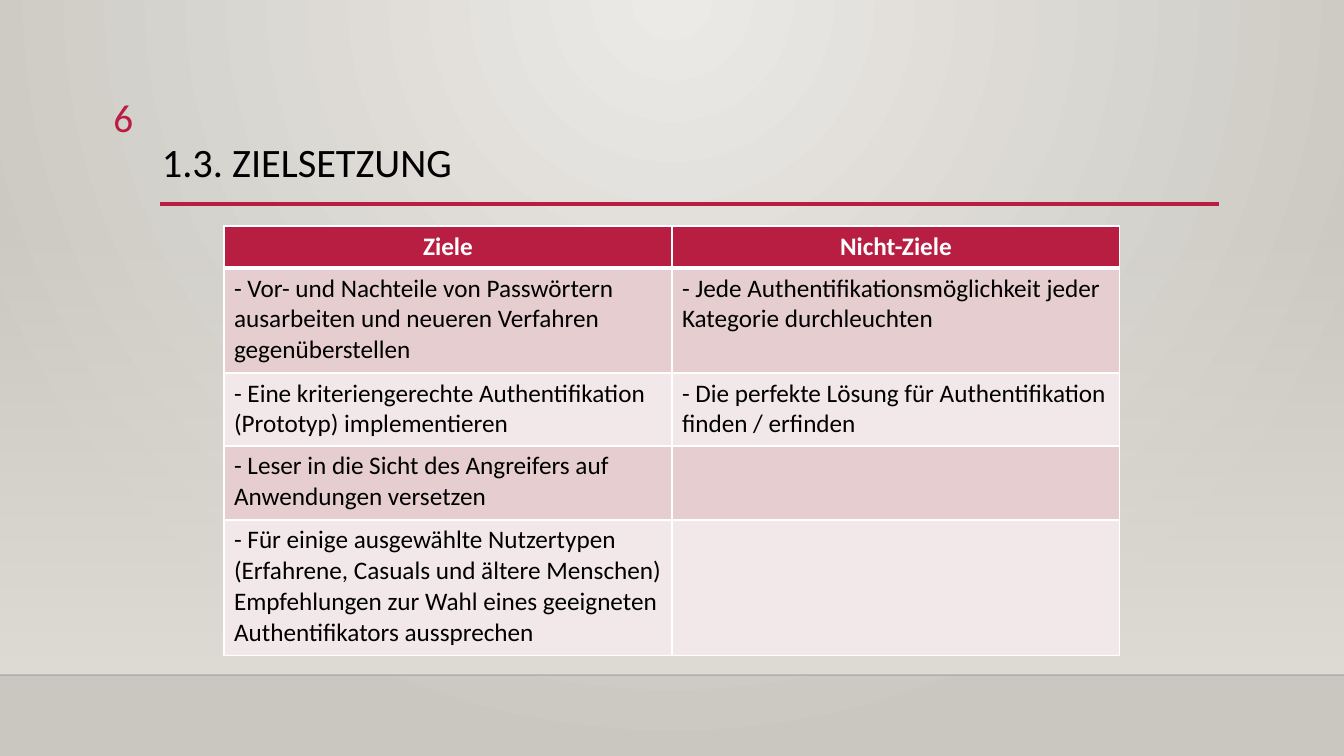
from lxml import etree
from pptx import Presentation, util as u
from pptx.dml.color import RGBColor
from pptx.enum import shapes, text
from pptx.oxml import parse_xml
from pptx.oxml.ns import nsdecls, qn

SLIDE_W, SLIDE_H = 1344, 756
FONT = "Calibri"
CRIMSON = RGBColor(0xB7, 0x1E, 0x42)
BLACK = RGBColor(0, 0, 0)
EDGE = RGBColor(0, 0, 1)
WHITE = RGBColor(0xFF, 0xFF, 0xFF)
BANDS = RGBColor(0xE6, 0xCD, 0xCF), RGBColor(0xF3, 0xE8, 0xE9)
SKY = RGBColor(0xEC, 0xEA, 0xE7), RGBColor(0xCA, 0xC7, 0xC1)
WALL = RGBColor(0xDF, 0xDB, 0xD5)

HEADINGS = "Ziele", "Nicht-Ziele"
GOALS = [
    ("- Vor- und Nachteile von Passwörtern ausarbeiten und neueren Verfahren gegenüberstellen",
     "- Jede Authentifikationsmöglichkeit jeder Kategorie durchleuchten"),
    ("- Eine kriteriengerechte Authentifikation (Prototyp) implementieren",
     "- Die perfekte Lösung für Authentifikation finden / erfinden"),
    ("- Leser in die Sicht des Angreifers auf Anwendungen versetzen", ""),
    ("- Für einige ausgewählte Nutzertypen (Erfahrene, Casuals und ältere Menschen) "
     "Empfehlungen zur Wahl eines geeigneten Authentifikators aussprechen", ""),
]
ROW_HEIGHTS = 42, 105, 73, 74, 136


def px(length):
    return u.Emu(length * 12192000 // SLIDE_W)


def set_gradient(fill, parent, stops, direction):
    """Give parent a gradient of (colour, opacity percent) stops, evenly spread."""
    fill.gradient()
    step = 100000 // (len(stops) - 1)
    marks = "".join(
        f'<a:gs pos="{i * step}"><a:srgbClr val="{color}">'
        f'<a:alpha val="{opacity * 1000}"/></a:srgbClr></a:gs>'
        for i, (color, opacity) in enumerate(stops))
    gradient = parse_xml(f'<a:gradFill {nsdecls("a")} rotWithShape="1">'
                         f'<a:gsLst>{marks}</a:gsLst>{direction}</a:gradFill>')
    preset = parent.find(qn("a:gradFill"))
    parent.replace(preset, gradient)


def add_rule(slide, left, top, width, color, points, opacity=100):
    rule = slide.shapes.add_connector(shapes.MSO_CONNECTOR.STRAIGHT,
                                      px(left), px(top), px(left + width), px(top))
    rule.line.color.rgb = color
    rule.line.width = u.Pt(points)
    properties = rule._element.spPr
    etree.SubElement(properties, qn("a:effectLst"))
    if opacity < 100:
        tint = properties.find(".//" + qn("a:srgbClr"))
        etree.SubElement(tint, qn("a:alpha"), val=str(opacity * 1000))


def add_run(paragraph, words, size, color, bold=False):
    run = paragraph.add_run()
    run.text = words
    run.font.name = FONT
    run.font.size = u.Pt(size)
    run.font.color.rgb = color
    run.font.bold = bold


def add_label(slide, box, words, size, color, align, anchor, spacing=1.0):
    frame = slide.shapes.add_textbox(*map(px, box)).text_frame
    frame.word_wrap = True
    frame.vertical_anchor = anchor
    paragraph = frame.paragraphs[0]
    paragraph.alignment = align
    paragraph.line_spacing = spacing
    add_run(paragraph, words, size, color)


def add_backdrop(slide, left, top, width, height):
    background = slide.background.fill
    set_gradient(background, slide._element.cSld.bg.bgPr, [(color, 100) for color in SKY],
                 '<a:path path="circle">'
                 '<a:fillToRect l="43000" t="0" r="43000" b="100000"/></a:path>')
    wall = slide.shapes.add_shape(shapes.MSO_SHAPE.RECTANGLE,
                                  px(left), px(top), px(width), px(height))
    wall.shadow.inherit = False
    wall.line.fill.background()
    set_gradient(wall.fill, wall._element.spPr, [(WALL, 0), (WALL, 100)],
                 '<a:lin ang="5400000" scaled="0"/>')
    add_rule(slide, left, top + height, width, EDGE, 1, opacity=20)


def add_header(slide, left, top, width):
    add_rule(slide, left, top + 116, width, CRIMSON, 2.5)
    add_label(slide, (left - 8, top + 49, width, 55), "1.3. ZIELSETZUNG", 28.8, BLACK,
              text.PP_ALIGN.LEFT, text.MSO_ANCHOR.MIDDLE, spacing=0.9)
    add_label(slide, (left - 107, top, 90, 55), "6", 28, CRIMSON,
              text.PP_ALIGN.RIGHT, text.MSO_ANCHOR.TOP)


def set_borders(cell, widths):
    properties = cell._tc.get_or_add_tcPr()
    for place, (side, points) in enumerate(widths.items()):
        properties.insert(place, parse_xml(
            f'<a:{side} {nsdecls("a")} w="{u.Pt(points)}"><a:solidFill>'
            f'<a:srgbClr val="{WHITE}"/></a:solidFill></a:{side}>'))


def add_goal_table(slide, left, top, width):
    rows = [HEADINGS, *GOALS]
    table = slide.shapes.add_table(len(rows), len(HEADINGS), px(left), px(top),
                                   px(width), px(sum(ROW_HEIGHTS))).table
    for column in table.columns:
        column.width = px(width // len(HEADINGS))
    for r, (height, entries) in enumerate(zip(ROW_HEIGHTS, rows)):
        table.rows[r].height = px(height)
        heading = r == 0
        for c, words in enumerate(entries):
            cell = table.cell(r, c)
            cell.fill.solid()
            cell.fill.fore_color.rgb = CRIMSON if heading else BANDS[(r - 1) % 2]
            set_borders(cell, {"lnL": 1, "lnR": 1, "lnT": 3 if r == 1 else 1,
                               "lnB": 3 if heading else 1})
            paragraph = cell.text_frame.paragraphs[0]
            if heading:
                cell.vertical_anchor = text.MSO_ANCHOR.MIDDLE
                paragraph.alignment = text.PP_ALIGN.CENTER
            if words:
                add_run(paragraph, words, 18, WHITE if heading else BLACK, heading)


def main():
    deck = Presentation()
    deck.slide_width, deck.slide_height = px(SLIDE_W), px(SLIDE_H)
    slide = deck.slides.add_slide(deck.slide_layouts[6])
    add_backdrop(slide, 0, 223, SLIDE_W, 452)
    add_header(slide, 160, 88, 1059)
    add_goal_table(slide, 224, 226, 896)
    deck.save("out.pptx")


if __name__ == "__main__":
    main()
